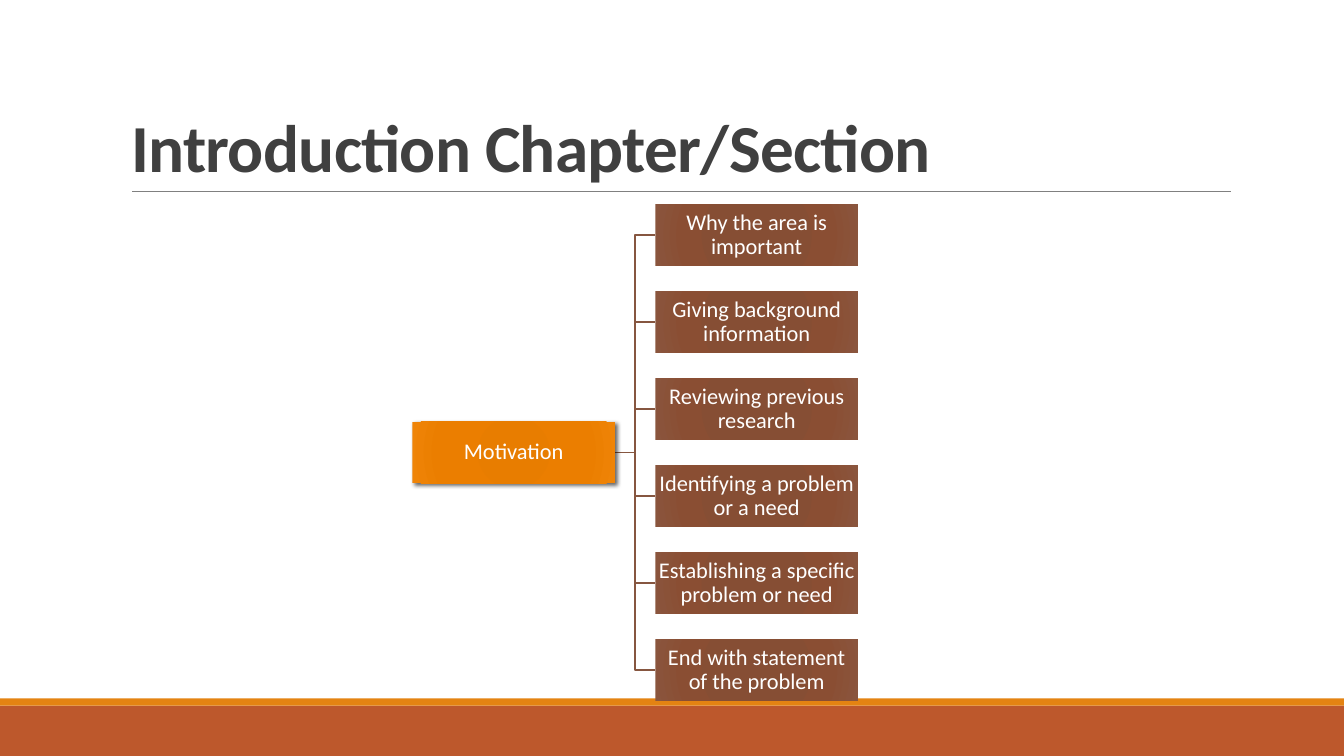
"""Build the Introduction Chapter/Section slide with its motivation tree."""
import dataclasses
import typing

import lxml.etree
import pptx
import pptx.dml.color
import pptx.enum.shapes
import pptx.enum.text
import pptx.oxml
import pptx.oxml.ns
import pptx.util

Inches = pptx.util.Inches
Pt = pptx.util.Pt
qn = pptx.oxml.ns.qn
RGB = pptx.dml.color.RGBColor.from_string


@dataclasses.dataclass(frozen=True)
class Theme:
    font: str = "Calibri"
    title_size: float = 48
    box_size: float = 16
    title: str = "404040"
    box_text: str = "FFFFFF"
    rule: str = "808080"
    band: str = "BD582C"
    stripe: str = "E48312"
    branch: str = "865640"
    root_stops: tuple[str, ...] = ("E57B00", "E87D00", "EB7E00", "EF8407")
    leaf_stops: tuple[str, ...] = ("874C32", "864E34", "8A4E33", "8A553D")
    stop_positions: tuple[int, ...] = (0, 34, 70, 100)


@dataclasses.dataclass(frozen=True)
class Band:
    top: float
    height: float
    color: str


@dataclasses.dataclass(frozen=True)
class Box:
    text: str
    left: float
    middle: float
    stops: tuple[str, ...]
    shadow: bool = False


THEME = Theme()
SLIDE_WIDTH, SLIDE_HEIGHT = 13.33, 7.5
BOX_WIDTH, BOX_HEIGHT = 2.01, 0.61
ROOT_LEFT, LEAF_LEFT = 4.09, 6.5
TREE_MIDDLE, LEAF_PITCH = 4.49, 0.863
TITLE = "Introduction Chapter/Section"
ROOT = Box("Motivation", ROOT_LEFT, TREE_MIDDLE, THEME.root_stops, True)
LEAF_TEXTS = (
    "Why the area is important",
    "Giving background information",
    "Reviewing previous research",
    "Identifying a problem or a need",
    "Establishing a specific problem or need",
    "End with statement of the problem",
)
LEAVES = [
    Box(text, LEAF_LEFT, TREE_MIDDLE + (index - (len(LEAF_TEXTS) - 1) / 2) * LEAF_PITCH, THEME.leaf_stops)
    for index, text in enumerate(LEAF_TEXTS)
]
BANDS = (Band(7, 0.5, THEME.band), Band(6.93, 0.07, THEME.stripe))


def apply_format(target: typing.Any, values: dict[str, typing.Any]) -> None:
    for name, value in values.items():
        setattr(target, name, value)


def format_text(shape: typing.Any, text: str, frame: dict, paragraph: dict, font: dict, color: str) -> None:
    shape.text_frame.text = text
    apply_format(shape.text_frame, frame)
    line = shape.text_frame.paragraphs[0]
    apply_format(line, paragraph)
    run = line.runs[0]
    apply_format(run.font, {"name": THEME.font, **font})
    run.font.color.rgb = RGB(color)


def add_rectangle(slide: typing.Any, left: float, top: float, width: float, height: float) -> typing.Any:
    shape = slide.shapes.add_shape(
        pptx.enum.shapes.MSO_SHAPE.RECTANGLE, Inches(left), Inches(top), Inches(width), Inches(height)
    )
    shape.shadow.inherit = False
    shape.line.fill.background()
    return shape


def add_band(slide: typing.Any, band: Band) -> None:
    shape = add_rectangle(slide, 0, band.top, SLIDE_WIDTH, band.height)
    shape.fill.solid()
    shape.fill.fore_color.rgb = RGB(band.color)


def add_title(slide: typing.Any) -> None:
    title = slide.shapes.title
    apply_format(
        title, {"left": Inches(1.2), "top": Inches(0.31), "width": Inches(11), "height": Inches(1.59)}
    )
    format_text(
        title,
        TITLE,
        {
            "word_wrap": True,
            "vertical_anchor": pptx.enum.text.MSO_ANCHOR.BOTTOM,
            "auto_size": pptx.enum.text.MSO_AUTO_SIZE.NONE,
        },
        {"alignment": pptx.enum.text.PP_ALIGN.LEFT, "line_spacing": 0.85},
        {"size": Pt(THEME.title_size), "bold": True},
        THEME.title,
    )
    title.text_frame.paragraphs[0].runs[0].font._element.set("spc", "-50")


def add_rule(slide: typing.Any) -> None:
    rule = slide.shapes.add_connector(
        pptx.enum.shapes.MSO_CONNECTOR.STRAIGHT, Inches(1.31), Inches(1.9), Inches(12.21), Inches(1.9)
    )
    rule.line.color.rgb = RGB(THEME.rule)
    rule.line.width = Pt(0.5)
    lxml.etree.SubElement(rule._element.spPr, qn("a:effectLst"))


def add_branch(slide: typing.Any, root: Box, leaf: Box) -> None:
    start = root.left + BOX_WIDTH
    bend = (start + leaf.left) / 2
    points = [(bend, root.middle), (bend, leaf.middle), (leaf.left, leaf.middle)]
    builder = slide.shapes.build_freeform(Inches(start), Inches(root.middle))
    builder.add_line_segments([(Inches(x), Inches(y)) for x, y in points], close=False)
    branch = builder.convert_to_shape()
    branch.shadow.inherit = False
    branch.fill.background()
    branch.line.color.rgb = RGB(THEME.branch)
    branch.line.width = Pt(1.25)


def set_radial_fill(shape: typing.Any, colors: tuple[str, ...]) -> None:
    stops = "".join(
        f'<a:gs pos="{position * 1000}"><a:srgbClr val="{color}"/></a:gs>'
        for position, color in zip(THEME.stop_positions, colors)
    )
    gradient = pptx.oxml.parse_xml(
        f'<a:gradFill {pptx.oxml.ns.nsdecls("a")} rotWithShape="1"><a:gsLst>{stops}</a:gsLst>'
        '<a:path path="circle"><a:fillToRect l="100000" t="100000" r="100000" b="100000"/></a:path>'
        "</a:gradFill>"
    )
    shape.fill.background()
    properties = shape._element.spPr
    properties.replace(properties.find(qn("a:noFill")), gradient)


def add_shadow(shape: typing.Any) -> None:
    shadow = pptx.oxml.parse_xml(
        f'<a:outerShdw {pptx.oxml.ns.nsdecls("a")} blurRad="{Pt(3)}" dist="{Pt(2)}" dir="2700000" '
        'rotWithShape="0"><a:srgbClr val="000000"><a:alpha val="60000"/></a:srgbClr></a:outerShdw>'
    )
    shape._element.spPr.find(qn("a:effectLst")).append(shadow)


def add_box(slide: typing.Any, box: Box) -> None:
    shape = add_rectangle(slide, box.left, box.middle - BOX_HEIGHT / 2, BOX_WIDTH, BOX_HEIGHT)
    set_radial_fill(shape, box.stops)
    if box.shadow:
        add_shadow(shape)
    margins = {f"margin_{side}": Inches(0.01) for side in ("left", "top", "right", "bottom")}
    format_text(
        shape,
        box.text,
        {"word_wrap": True, "vertical_anchor": pptx.enum.text.MSO_ANCHOR.MIDDLE, **margins},
        {"alignment": pptx.enum.text.PP_ALIGN.CENTER, "line_spacing": 0.9},
        {"size": Pt(THEME.box_size)},
        THEME.box_text,
    )


def main() -> None:
    presentation = pptx.Presentation()
    apply_format(
        presentation, {"slide_width": Inches(SLIDE_WIDTH), "slide_height": Inches(SLIDE_HEIGHT)}
    )
    slide = presentation.slides.add_slide(presentation.slide_layouts.get_by_name("Title Only"))
    for band in BANDS:
        add_band(slide, band)
    add_rule(slide)
    add_title(slide)
    for leaf in LEAVES:
        add_branch(slide, ROOT, leaf)
    for box in (ROOT, *LEAVES):
        add_box(slide, box)
    presentation.save("out.pptx")


if __name__ == "__main__":
    main()
